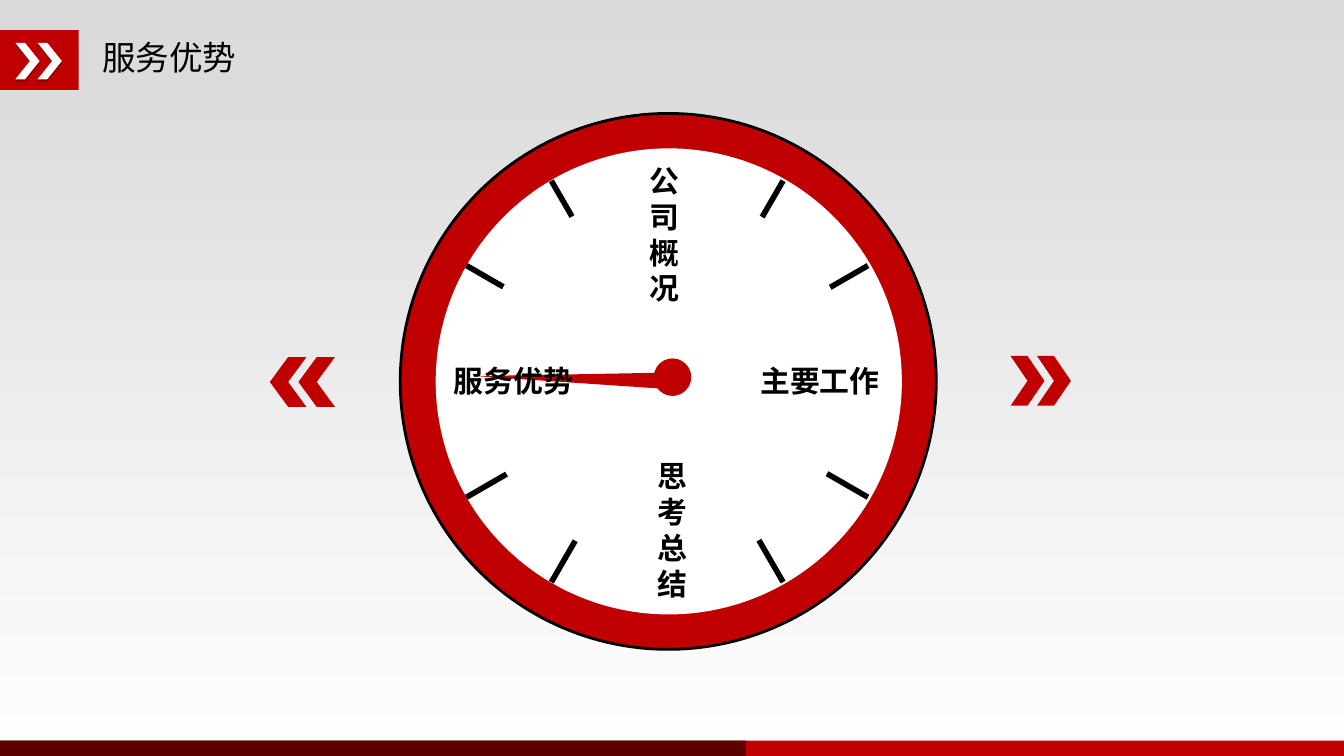
from math import cos, radians, sin

from lxml import etree
from pptx import Presentation
from pptx.dml.color import RGBColor
from pptx.enum.shapes import MSO_CONNECTOR, MSO_SHAPE
from pptx.enum.text import PP_ALIGN
from pptx.oxml import parse_xml
from pptx.oxml.ns import nsdecls, qn
from pptx.util import Cm, Pt

RECT, OVAL, CHEVRON = MSO_SHAPE.RECTANGLE, MSO_SHAPE.OVAL, MSO_SHAPE.CHEVRON
LINE = MSO_CONNECTOR.STRAIGHT
LEFT, CENTER = PP_ALIGN.LEFT, PP_ALIGN.CENTER
FONT = "Noto Sans CJK SC"
WIDE, HIGH = 25.4, 14.29
COLORS = {"red": "C00000", "dark": "5C0000", "black": "000000",
          "white": "FFFFFF", "pale": "FEFEFE", "gray": "D9D9D9"}
SHADOW = (f'<a:effectLst {nsdecls("a")}><a:outerShdw blurRad="12700" '
          'dist="12700" dir="5400000"><a:srgbClr val="000000">'
          '<a:alpha val="40000"/></a:srgbClr></a:outerShdw></a:effectLst>')


def color(name):
    return RGBColor.from_string(COLORS[name])


class Dial:
    """Draws styled elements on the current slide, in centimetres."""

    def __init__(self, slide):
        self.shapes = slide.shapes

    def paint(self, shape, fill):
        shape.shadow.inherit = False
        shape.fill.solid()
        shape.fill.fore_color.rgb = color(fill)
        shape.line.fill.background()
        return shape

    def shape(self, kind, x, y, w, h, fill="red"):
        shape = self.shapes.add_shape(kind, Cm(x), Cm(y), Cm(w), Cm(h))
        return self.paint(shape, fill)

    def backdrop(self):
        fill = self.shape(RECT, 0, 0, WIDE, HIGH).fill
        fill.gradient()
        fill.gradient_angle = 90
        for stop, name in zip(fill.gradient_stops, ("pale", "gray")):
            stop.color.rgb = color(name)

    def disc(self, x, y, size, fill):
        return self.shape(OVAL, x - size / 2, y - size / 2, size, size, fill)

    def badge(self, x):
        mark = self.shape(CHEVRON, x, 0.81, 0.46, 0.69, "white")
        mark.adjustments[0] = 0.6
        props = mark._element.spPr
        props.replace(props.find(qn("a:effectLst")), parse_xml(SHADOW))

    def arrows(self, x, y, w, step, turn):
        for i in range(2):
            self.shape(CHEVRON, x + i * step, y, w, 0.94).rotation = turn

    def spoke(self, x, y, radius, angle):
        dx = radius * cos(radians(angle))
        dy = radius * sin(radians(angle))
        line = self.shapes.add_connector(
            LINE, Cm(x - dx), Cm(y - dy), Cm(x + dx), Cm(y + dy))
        line.line.color.rgb = color("black")
        line.line.width = Pt(3)
        etree.SubElement(line._element.spPr, qn("a:effectLst"))

    def needle(self, points):
        start, *rest = [(Cm(x), Cm(y)) for x, y in points]
        path = self.shapes.build_freeform(*start)
        path.add_line_segments(rest, close=True)
        self.paint(path.convert_to_shape(), "red")

    def text(self, words, x, y, w, h, size=16, bold=True, align=CENTER,
             wrap=False):
        box = self.shapes.add_textbox(Cm(x), Cm(y), Cm(w), Cm(h))
        box.text_frame.word_wrap = wrap
        para = box.text_frame.paragraphs[0]
        para.text = words
        para.alignment = align
        font = para.font
        font.size, font.bold, font.name = Pt(size), bold, FONT
        font.color.rgb = color("black")
        props = para._p.pPr.find(qn("a:defRPr"))
        etree.SubElement(props, qn("a:ea")).set("typeface", FONT)


def main():
    deck = Presentation()
    deck.slide_width, deck.slide_height = Cm(WIDE), Cm(HIGH)
    dial = Dial(deck.slides.add_slide(deck.slide_layouts[6]))

    dial.backdrop()
    for width, fill in ((WIDE, "red"), (14.1, "dark")):
        dial.shape(RECT, 0, 14, width, HIGH - 14, fill)
    dial.shape(RECT, 0, 0.57, 1.49, 1.13)
    for x in (0.29, 0.71):
        dial.badge(x)
    dial.text("服务优势", 1.68, 0.58, 3.07, 1.02, 18, False, LEFT)

    rim = dial.disc(12.63, 7.21, 10.13, "red")
    rim.line.color.rgb = color("black")
    rim.line.width = Pt(1.5)
    dial.disc(12.64, 7.21, 8.81, "white")
    for angle in (30, 60, 120, 150):
        dial.spoke(12.61, 7.21, 4.38, angle)
    dial.disc(12.6, 7.14, 7.06, "white")
    dial.disc(12.71, 7.13, 0.71, "red")
    dial.needle([(12.85, 7.04), (12.85, 7.37), (8.99, 7.11)])

    dial.arrows(5.1, 6.75, 0.69, 0.54, 180)
    dial.arrows(19.1, 6.73, 0.64, 0.5, 0)

    dial.text("公司概况", 11.99, 2.95, 1.12, 3, wrap=True)
    dial.text("主要工作", 14.1, 6.73, 2.79, 0.94)
    dial.text("思考总结", 12.09, 8.53, 1.24, 3, wrap=True)
    dial.text("服务优势", 8.31, 6.73, 2.79, 0.94)
    deck.save("out.pptx")


if __name__ == "__main__":
    main()
